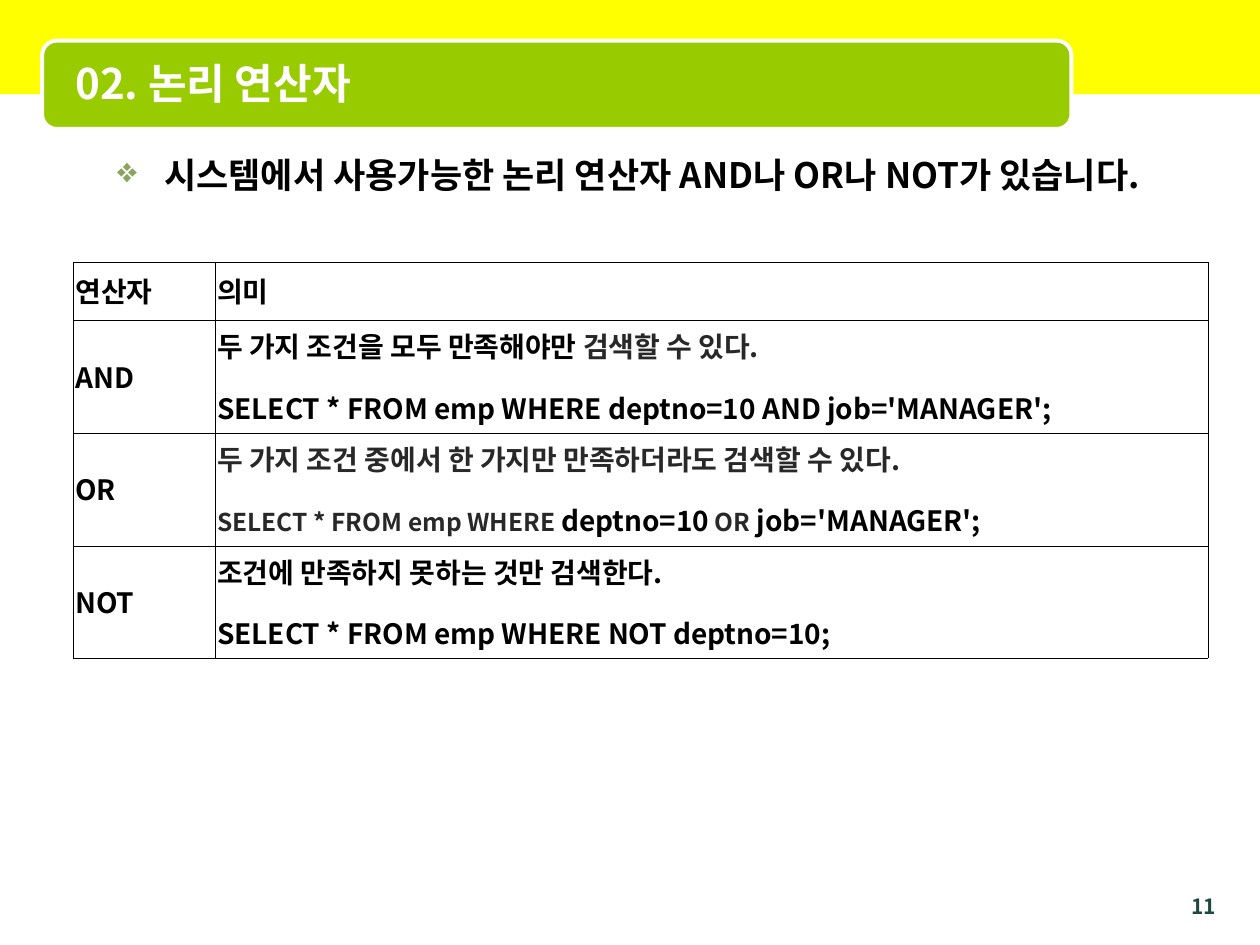
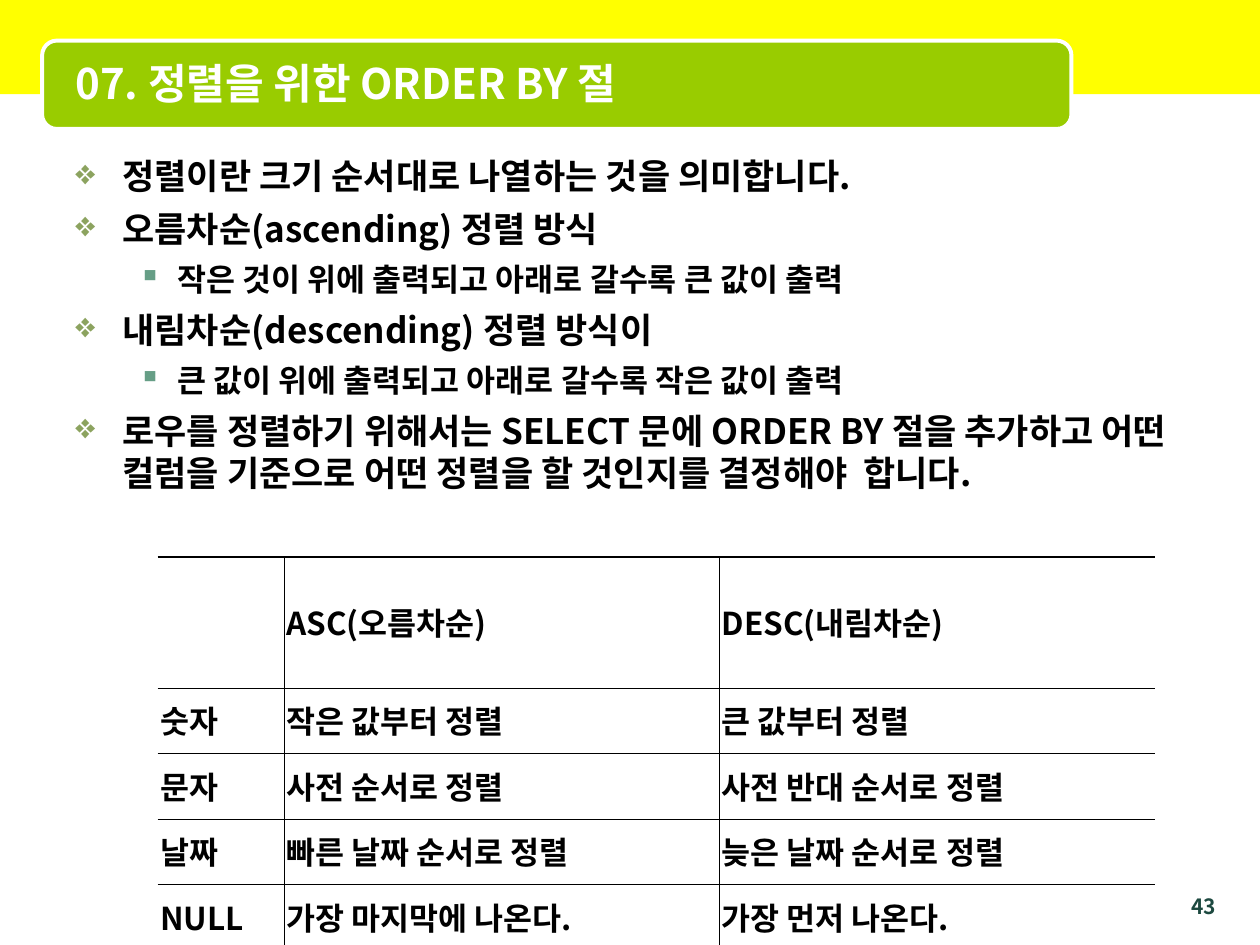
from dataclasses import dataclass

from lxml import etree
from pptx import Presentation
from pptx.dml.color import RGBColor
from pptx.enum import shapes, text
from pptx.oxml import ns
from pptx.util import Cm, Pt

FONT = "Noto Sans CJK KR"
BLACK, WHITE, GRAY = "000000", "FFFFFF", "282828"
YELLOW, LIME, PINE = "FFFF00", "99CC00", "1D4940"
OLIVE, SAGE = "8CA35F", "669E86"
NO_STYLE = "{2D5ABB26-0587-4C30-8999-92F81FD0307C}"
HAIR, THIN, BOLD = 0.11, 0.28, 0.96
LEFT, RIGHT = text.PP_ALIGN.LEFT, text.PP_ALIGN.RIGHT
JUST = text.PP_ALIGN.JUSTIFY


@dataclass(frozen=True)
class Box:
    left: float
    top: float
    width: float
    height: float

    def cm(self) -> tuple:
        return Cm(self.left), Cm(self.top), Cm(self.width), Cm(self.height)


@dataclass(frozen=True)
class Run:
    words: str
    size: float
    color: str = BLACK


@dataclass(frozen=True)
class Bullet:
    sign: str
    color: str
    margin: float
    hang: float
    level: int


@dataclass(frozen=True)
class Line:
    runs: tuple
    spacing: float = 1.0
    align: text.PP_ALIGN = LEFT
    bullet: Bullet | None = None


@dataclass(frozen=True)
class Grid:
    left: float
    top: float
    cols: tuple
    rows: tuple
    cells: list
    frame: dict
    inner: dict


MAIN = Bullet("❖", OLIVE, 0.95, 0.95, 0)
SUB = Bullet("▪", SAGE, 2.06, 0.79, 1)
BAND = Box(0, 0, 25.4, 1.9)
PLATE = Box(0.85, 0.82, 20.75, 1.78)
TITLE = Box(1.27, 0.89, 20.12, 1.57)
PAGE = Box(23.5, 17.88, 1.27, 0.53)


def rgb(color: str) -> RGBColor:
    return RGBColor.from_string(color)


def add(parent, tag: str, **attrs):
    return etree.SubElement(parent, ns.qn(tag), attrs)


def mark(para, bullet: Bullet) -> None:
    para.level = bullet.level
    props = para._p.get_or_add_pPr()
    props.set("marL", str(Cm(bullet.margin)))
    props.set("indent", str(-Cm(bullet.hang)))
    add(add(props, "a:buClr"), "a:srgbClr", val=bullet.color)
    add(props, "a:buChar", char=bullet.sign)


def write(frame, lines: list, gap: float = 0) -> None:
    for index, line in enumerate(lines):
        para = frame.add_paragraph() if index else frame.paragraphs[0]
        if line.bullet:
            mark(para, line.bullet)
        para.alignment = line.align
        para.line_spacing = line.spacing
        if index and gap:
            para.space_before = Pt(gap)
        for item in line.runs:
            run = para.add_run()
            run.text = item.words
            font = run.font
            font.name, font.size, font.bold = FONT, Pt(item.size), True
            font.color.rgb = rgb(item.color)


def label(slide, box: Box, lines: list, gap: float = 0, middle: bool = False) -> None:
    frame = slide.shapes.add_textbox(*box.cm()).text_frame
    frame.word_wrap = True
    anchor = text.MSO_ANCHOR
    frame.vertical_anchor = anchor.MIDDLE if middle else anchor.TOP
    write(frame, lines, gap)


def block(slide, kind, box: Box, color: str):
    shape = slide.shapes.add_shape(kind, *box.cm())
    shape.shadow.inherit = False
    shape.fill.solid()
    shape.fill.fore_color.rgb = rgb(color)
    shape.line.fill.background()
    return shape


def page(deck, title: str, number: str):
    slide = deck.slides.add_slide(deck.slide_layouts[6])
    block(slide, shapes.MSO_SHAPE.RECTANGLE, BAND, YELLOW)
    plate = block(slide, shapes.MSO_SHAPE.ROUNDED_RECTANGLE, PLATE, LIME)
    plate.line.color.rgb = rgb(WHITE)
    plate.line.width = Pt(2.25)
    label(slide, PAGE, [Line((Run(number, 12, PINE),), align=RIGHT)])
    label(slide, TITLE, [Line((Run(title, 24, WHITE),))], middle=True)
    return slide


def edge(cell, widths: dict) -> None:
    props = cell._tc.get_or_add_tcPr()
    for index, side in enumerate("LRTB"):
        width = widths[side]
        line = etree.Element(ns.qn(f"a:ln{side}"), {"w": str(Pt(width))})
        if width:
            add(add(line, "a:solidFill"), "a:srgbClr", val=BLACK)
        else:
            add(line, "a:noFill")
        props.insert(index, line)


def table(slide, grid: Grid) -> None:
    box = Box(grid.left, grid.top, sum(grid.cols), sum(grid.rows))
    deep, wide = len(grid.rows), len(grid.cols)
    made = slide.shapes.add_table(deep, wide, *box.cm()).table
    made.first_row = made.horz_banding = False
    made._tbl.tblPr.find(ns.qn("a:tableStyleId")).text = NO_STYLE
    for col, width in zip(made.columns, grid.cols):
        col.width = Cm(width)
    for row, height in zip(made.rows, grid.rows):
        row.height = Cm(height)
    for y, row in enumerate(grid.cells):
        for x, lines in enumerate(row):
            cell = made.cell(y, x)
            cell.margin_left = cell.margin_right = Cm(0.05)
            cell.margin_top = cell.margin_bottom = Cm(0.13)
            cell.vertical_anchor = text.MSO_ANCHOR.MIDDLE
            cell.fill.solid()
            cell.fill.fore_color.rgb = rgb(WHITE)
            outer = {"L": x == 0, "R": x == wide - 1, "T": y == 0, "B": y == deep - 1}
            edge(cell, {s: (grid.frame if out else grid.inner)[s] for s, out in outer.items()})
            write(cell.text_frame, lines)


def entry(*runs: Run, spacing: float = 0.96) -> Line:
    return Line(runs, spacing, JUST)


def plain(words: str, size: float) -> list:
    return [entry(Run(words, size))] if words else []


def query(*runs: Run) -> Line:
    return entry(*runs, spacing=1.53)


def point(words: str, bullet: Bullet = MAIN) -> Line:
    return Line((Run(words, 18 if bullet.level else 20),), bullet=bullet)


def logic(deck) -> None:
    slide = page(deck, "02. 논리 연산자", "11")
    label(slide, Box(2.11, 2.97, 22.86, 8.86), [
        point("시스템에서 사용가능한 논리 연산자 AND나 OR나 NOT가 있습니다."),
    ])
    both = [
        entry(Run("두 가지 조건을 모두 만족해야만 ", 16), Run("검색할 수 있다. ", 16, GRAY)),
        query(Run("SELECT * FROM emp WHERE deptno=10 AND job='MANAGER';", 16)),
    ]
    any_one = [
        entry(Run("두 가지 조건 중에서 한 가지만 만족하더라도 검색할 수 있다. ", 16, GRAY)),
        query(Run("SELECT * FROM emp WHERE ", 14, GRAY), Run("deptno=10", 16),
              Run(" OR", 14, GRAY), Run(" job='MANAGER';", 16)),
    ]
    none = [
        entry(Run("조건에 만족하지 못하는 것만 검색한다.", 16)),
        query(Run("SELECT * FROM emp WHERE NOT deptno=10;", 16)),
    ]
    lines = dict.fromkeys("LRTB", HAIR)
    table(slide, Grid(1.47, 5.28, (2.86, 20.02), (1.18, 2.27, 2.27, 2.27), [
        [plain("연산자", 16), plain("의미", 16)],
        [plain("AND", 16), both],
        [plain("OR", 16), any_one],
        [plain("NOT", 16), none],
    ], lines, lines))


def order(deck) -> None:
    slide = page(deck, "07. 정렬을 위한 ORDER BY 절", "43")
    label(slide, Box(1.27, 3, 22.86, 15.6), [
        point("정렬이란 크기 순서대로 나열하는 것을 의미합니다."),
        point("오름차순(ascending) 정렬 방식"),
        point("작은 것이 위에 출력되고 아래로 갈수록 큰 값이 출력", SUB),
        point("내림차순(descending) 정렬 방식이"),
        point("큰 값이 위에 출력되고 아래로 갈수록 작은 값이 출력", SUB),
        point("로우를 정렬하기 위해서는 SELECT 문에 ORDER BY 절을 추가하고 "
              "어떤 컬럼을 기준으로 어떤 정렬을 할 것인지를 결정해야  합니다."),
    ], gap=6)
    words = [
        ("", "ASC(오름차순)", "DESC(내림차순)"),
        ("숫자", "작은 값부터 정렬", "큰 값부터 정렬"),
        ("문자", "사전 순서로 정렬", "사전 반대 순서로 정렬"),
        ("날짜", "빠른 날짜 순서로 정렬", "늦은 날짜 순서로 정렬"),
        ("NULL", "가장 마지막에 나온다.", "가장 먼저 나온다."),
    ]
    cells = [[plain(word, 18) for word in row] for row in words]
    table(slide, Grid(3.18, 11.23, (2.54, 8.78, 8.78), (2.64,) + (1.32,) * 4, cells,
                      {"L": 0, "R": 0, "T": BOLD, "B": HAIR},
                      {"L": THIN, "R": THIN, "T": HAIR, "B": HAIR}))


def main() -> None:
    deck = Presentation()
    deck.slide_width, deck.slide_height = Cm(25.4), Cm(19.05)
    logic(deck)
    order(deck)
    deck.save("out.pptx")


if __name__ == "__main__":
    main()
